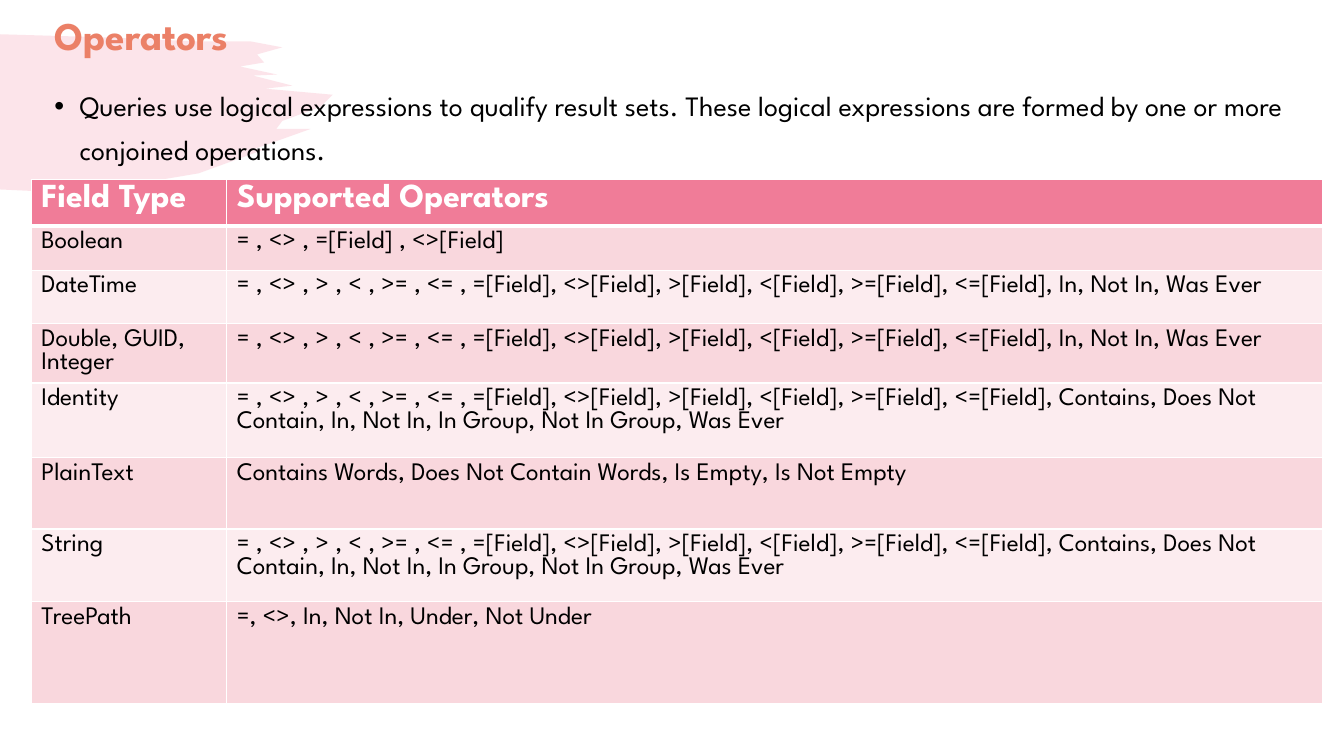
from pptx import Presentation
from pptx.dml.color import RGBColor
from pptx.enum.text import MSO_ANCHOR, MSO_AUTO_SIZE, PP_ALIGN
from pptx.oxml import parse_xml
from pptx.oxml.ns import nsdecls, qn
from pptx.util import Inches, Pt

PINK, CORAL, WHITE, BLACK = "F07C98", "EB8067", "FFFFFF", "000000"
BANDS = "F9D7DD", "FCECEF"

COMPARE = "= , <> , > , < , >= , <= , =[Field], <>[Field], >[Field], <[Field], >=[Field], <=[Field], "
DATED = COMPARE + "In, Not In, Was Ever"
GROUPED = COMPARE + "Contains, Does Not Contain, In, Not In, In Group, Not In Group, Was Ever"
ROWS = [
    ("Field Type", "Supported Operators"),
    ("Boolean", "= , <> , =[Field] , <>[Field]"),
    ("DateTime", DATED),
    ("Double, GUID, Integer", DATED),
    ("Identity", GROUPED),
    ("PlainText", "Contains Words, Does Not Contain Words, Is Empty, Is Not Empty"),
    ("String", GROUPED),
    ("TreePath", "=, <>, In, Not In, Under, Not Under"),
]
WIDTHS = 194, 1087
HEIGHTS = 46, 44, 53, 59, 74, 71, 72, 101

# Brush stroke with a ragged right end, in grid cells
STROKE = [
    (0, 34), (102, 37), (194, 41), (248, 41), (280, 47), (255, 54), (262, 62),
    (238, 66), (275, 74), (251, 75), (290, 85), (263, 88), (330, 94), (318, 106),
    (280, 120), (274, 128), (308, 128), (252, 148), (263, 148), (197, 172),
    (102, 188), (65, 191), (0, 188),
]


def tint(code):
    return RGBColor.from_string(code)


class Page:
    """Places elements on a square grid, 750 rows to the slide's height."""

    font = "League Spartan"

    def __init__(self, deck):
        self.cell = deck.slide_height / 750
        self.slide = deck.slides.add_slide(deck.slide_layouts[1])

    def span(self, cells):
        return round(cells * self.cell)

    def style(self, para, size, color, bold=False):
        for run in para.runs:
            font = run.font
            font.name, font.size, font.bold = self.font, Pt(size), bold
            font.color.rgb = tint(color)

    def brush(self, points, color, alpha):
        first, *rest = [(self.span(x), self.span(y)) for x, y in points]
        pen = self.slide.shapes.build_freeform(*first)
        pen.add_line_segments(rest, close=True)
        shape = pen.convert_to_shape()
        shape.shadow.inherit = False
        shape.line.fill.background()
        shape.fill.solid()
        shape.fill.fore_color.rgb = tint(color)
        shade = shape._element.spPr.find(".//" + qn("a:srgbClr"))
        shade.append(parse_xml(f'<a:alpha {nsdecls("a")} val="{alpha * 1000}"/>'))
        self.slide.shapes._spTree.insert(2, shape._element)

    def place(self, holder, box, text, anchor):
        """Move a placeholder, fill it and return its paragraph."""
        holder.left, holder.top, holder.width, holder.height = map(self.span, box)
        frame = holder.text_frame
        frame.text = text
        frame.word_wrap = True
        frame.auto_size = MSO_AUTO_SIZE.NONE
        frame.vertical_anchor = anchor
        para = frame.paragraphs[0]
        para.alignment = PP_ALIGN.LEFT
        return para

    def title(self, box, text):
        para = self.place(self.slide.shapes.title, box, text, MSO_ANCHOR.MIDDLE)
        para.line_spacing = 0.9
        self.style(para, 28, CORAL, True)

    def bullet(self, box, text):
        para = self.place(self.slide.placeholders[1], box, text, MSO_ANCHOR.TOP)
        para.space_before = Pt(10)
        para.line_spacing = 1.3
        props = para._p.get_or_add_pPr()
        props.set("marL", str(self.span(25)))
        props.set("indent", str(self.span(-25)))
        self.style(para, 20, BLACK)

    def edge(self, cell, side, width):
        cell._tc.get_or_add_tcPr().append(parse_xml(
            f'<a:ln{side} {nsdecls("a")} w="{Pt(width)}"><a:solidFill>'
            f'<a:srgbClr val="{WHITE}"/></a:solidFill></a:ln{side}>'))

    def table(self, left, top, widths, heights, rows):
        box = map(self.span, (left, top, sum(widths), sum(heights)))
        grid = self.slide.shapes.add_table(len(rows), len(widths), *box).table
        for col, width in zip(grid.columns, widths):
            col.width = self.span(width)
        for r, (line, height) in enumerate(zip(rows, heights)):
            grid.rows[r].height = self.span(height)
            head = r == 0
            for c, text in enumerate(line):
                cell = grid.cell(r, c)
                cell.text = text
                self.style(cell.text_frame.paragraphs[0], 24 if head else 18,
                           WHITE if head else BLACK, head)
                for side in "LRTB":
                    thick = (r, side) in ((0, "B"), (1, "T"))
                    self.edge(cell, side, 3 if thick else 1)
                cell.fill.solid()
                cell.fill.fore_color.rgb = tint(PINK if head else BANDS[(r - 1) % 2])


def main():
    deck = Presentation()
    deck.slide_width, deck.slide_height = Inches(13.33), Inches(7.5)
    page = Page(deck)
    page.brush(STROKE, PINK, 20)
    page.title((44, 0, 1150, 74), "Operators")
    page.bullet((44, 73, 1257, 97),
                "Queries use logical expressions to qualify result sets. "
                "These logical expressions are formed by one or more conjoined operations.")
    page.table(31, 178, WIDTHS, HEIGHTS, ROWS)
    deck.save("out.pptx")


if __name__ == "__main__":
    main()
